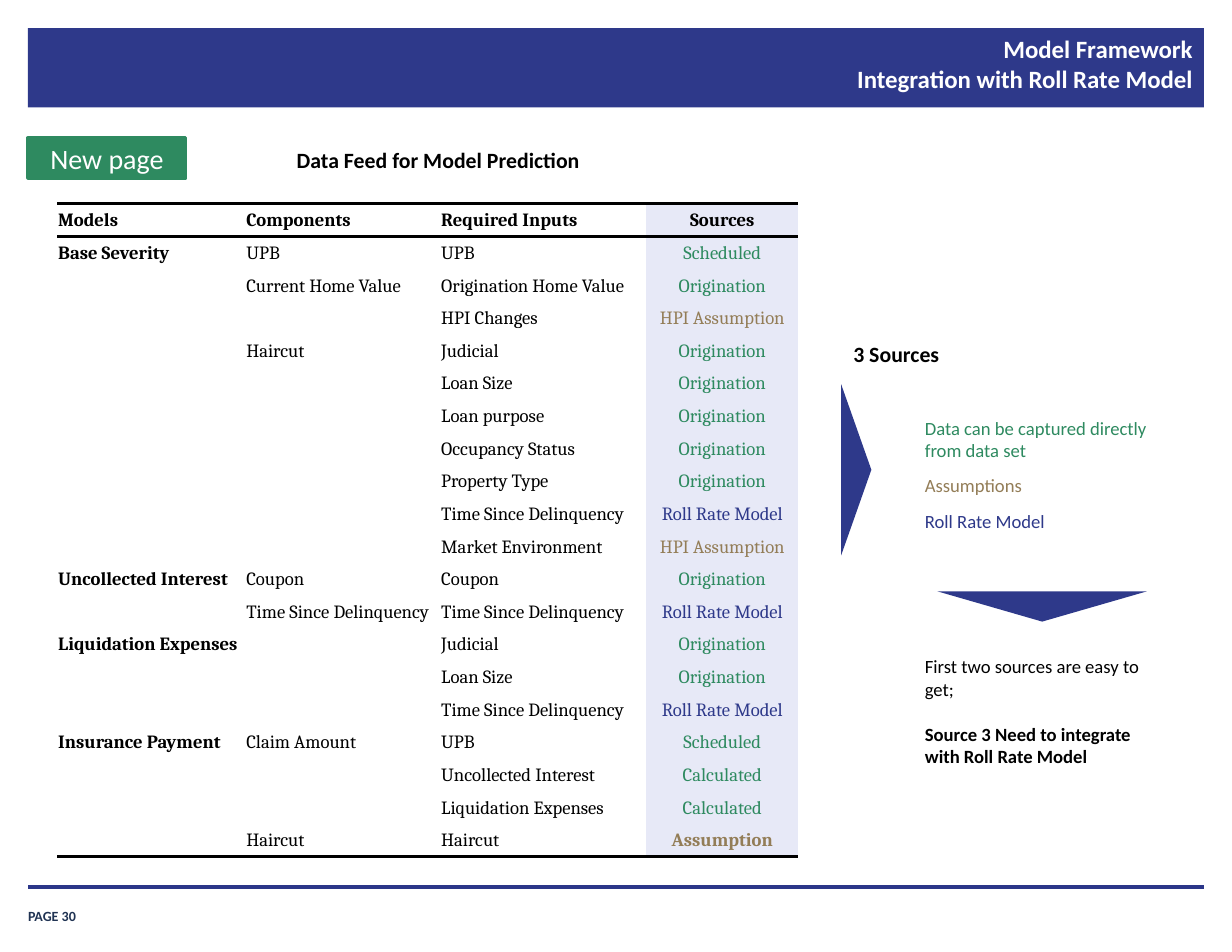
from lxml.etree import SubElement
from pptx import Presentation
from pptx.dml.color import RGBColor
from pptx.enum.shapes import MSO_CONNECTOR, MSO_SHAPE
from pptx.enum.text import MSO_ANCHOR as ANCHOR, PP_ALIGN as ALIGN
from pptx.oxml import parse_xml
from pptx.oxml.ns import nsdecls, qn
from pptx.util import Inches, Pt

COLORS = {
    "navy": "2E398A", "rule": "2B3689", "page": "203353", "green": "2E8A60",
    "tan": "937D57", "black": "000000", "white": "FFFFFF", "pale": "E7E9F7",
}
SOURCE_COLORS = {
    "Sources": "black", "HPI Assumption": "tan", "Assumption": "tan",
    "Roll Rate Model": "navy", "Scheduled": "green", "Origination": "green",
    "Calculated": "green",
}
NO_STYLE = "{2D5ABB26-0587-4C30-8999-92F81FD0307C}"
WIDTHS = (1.68, 1.74, 1.84, 1.36)
ROWS = (
    ("Models", "Components", "Required Inputs", "Sources"),
    ("Base Severity", "UPB", "UPB", "Scheduled"),
    ("", "Current Home Value", "Origination Home Value", "Origination"),
    ("", "", "HPI Changes", "HPI Assumption"),
    ("", "Haircut", "Judicial", "Origination"),
    ("", "", "Loan Size", "Origination"),
    ("", "", "Loan purpose", "Origination"),
    ("", "", "Occupancy Status", "Origination"),
    ("", "", "Property Type", "Origination"),
    ("", "", "Time Since Delinquency", "Roll Rate Model"),
    ("", "", "Market Environment", "HPI Assumption"),
    ("Uncollected Interest", "Coupon", "Coupon", "Origination"),
    ("", "Time Since Delinquency", "Time Since Delinquency", "Roll Rate Model"),
    ("Liquidation Expenses", "", "Judicial", "Origination"),
    ("", "", "Loan Size", "Origination"),
    ("", "", "Time Since Delinquency", "Roll Rate Model"),
    ("Insurance Payment", "Claim Amount", "UPB", "Scheduled"),
    ("", "", "Uncollected Interest", "Calculated"),
    ("", "", "Liquidation Expenses", "Calculated"),
    ("", "Haircut", "Haircut", "Assumption"),
)


def rgb(name):
    return RGBColor.from_string(COLORS[name])


def format_runs(p, size, color, bold=False, font="Calibri"):
    for r in p.runs:
        r.font.name = font
        r.font.size = Pt(size)
        r.font.bold = bold
        r.font.color.rgb = rgb(color)


def add_shape(s, kind, box, color, rotation=0):
    sp = s.shapes.add_shape(kind, *map(Inches, box))
    sp.shadow.inherit = False
    sp.rotation = rotation
    sp.fill.solid()
    sp.fill.fore_color.rgb = rgb(color)
    sp.line.fill.background()
    return sp


def add_text(s, box, text, size, color="black", bold=False):
    tf = s.shapes.add_textbox(*map(Inches, box)).text_frame
    tf.word_wrap = True
    tf.text = text
    for p in tf.paragraphs:
        format_runs(p, size, color, bold)
    return tf


def add_title(s):
    sp = s.shapes.title
    s.shapes._spTree.append(sp._element)
    sp.left, sp.top, sp.width, sp.height = map(Inches, (3.32, 0.24, 7.44, 0.74))
    tf = sp.text_frame
    tf.text = "Model Framework\vIntegration with Roll Rate Model"
    tf.vertical_anchor = ANCHOR.TOP
    tf.margin_left = tf.margin_right = Inches(0.11)
    tf.margin_top = tf.margin_bottom = Inches(0.06)
    tf.paragraphs[0].alignment = ALIGN.RIGHT
    format_runs(tf.paragraphs[0], 16, "white", True)


def add_footer(s):
    line = s.shapes.add_connector(
        MSO_CONNECTOR.STRAIGHT, *map(Inches, (0.25, 7.92, 10.75, 7.92)))
    line.line.color.rgb = rgb("rule")
    line.line.width = Pt(2)
    SubElement(line._element.spPr, qn("a:effectLst"))
    tf = add_text(s, (0.25, 8.02, 0.91, 0.23), "PAGE 30", 9, "page", True)
    tf.margin_left = tf.margin_right = tf.margin_top = tf.margin_bottom = 0
    tf.vertical_anchor = ANCHOR.BOTTOM


def add_borders(cell, sides):
    tc_pr = cell._tc.get_or_add_tcPr()
    for i, side in enumerate(sides):
        tc_pr.insert(i, parse_xml(
            f'<a:ln{side} {nsdecls("a")} w="{Pt(2)}"><a:solidFill>'
            f'<a:srgbClr val="{COLORS["black"]}"/></a:solidFill></a:ln{side}>'))


def fill_cell(cell, text, row, col):
    is_source = col == 3
    cell.fill.solid()
    cell.fill.fore_color.rgb = rgb("pale" if is_source else "white")
    cell.margin_left = cell.margin_right = cell.margin_top = Inches(0.01)
    cell.margin_bottom = 0
    cell.vertical_anchor = ANCHOR.MIDDLE
    cell.text = text
    p = cell.text_frame.paragraphs[0]
    if is_source:
        p.alignment = ALIGN.CENTER
    if not text:
        SubElement(p._p, qn("a:endParaRPr")).set("sz", "1200")
    color = SOURCE_COLORS[text] if is_source else "black"
    bold = row == 0 or col == 0 or text == "Assumption"
    format_runs(p, 12, color, bold, "Cambria")


def add_sources_table(s):
    table = s.shapes.add_table(
        len(ROWS), len(WIDTHS), *map(Inches, (0.51, 1.82, 6.62, 5.83))).table
    table.first_row = table.horz_banding = False
    table._tbl.tblPr.find(qn("a:tableStyleId")).text = NO_STYLE
    for column, width in zip(table.columns, WIDTHS):
        column.width = Inches(width)
    borders = {0: "TB", len(ROWS) - 1: "B"}
    for i, row in enumerate(ROWS):
        for j, text in enumerate(row):
            cell = table.cell(i, j)
            fill_cell(cell, text, i, j)
            add_borders(cell, borders.get(i, ""))


def add_badge(s):
    sp = add_shape(s, MSO_SHAPE.RECTANGLE, (0.25, 1.23, 1.41, 0.36), "green")
    sp.line.color.rgb = rgb("green")
    sp.line.width = Pt(2)
    tf = sp.text_frame
    tf.text = "New page"
    tf.vertical_anchor = ANCHOR.MIDDLE
    tf.paragraphs[0].alignment = ALIGN.CENTER
    format_runs(tf.paragraphs[0], 18, "white")


def add_conclusion(s):
    tf = add_text(s, (8.16, 5.8, 2.3, 1.11),
                  "First two sources are easy to get;\n"
                  "Source 3 Need to integrate with Roll Rate Model", 12)
    p = tf.paragraphs[1]
    p.space_before = Pt(14.5)
    format_runs(p, 12, "black", True)


def main():
    prs = Presentation()
    prs.slide_width, prs.slide_height = Inches(11), Inches(8.5)
    s = prs.slides.add_slide(prs.slide_layouts[5])
    add_shape(s, MSO_SHAPE.RECTANGLE, (0.25, 0.25, 10.5, 0.71), "navy")
    add_footer(s)
    add_title(s)
    add_sources_table(s)
    add_text(s, (8.16, 3.67, 2.3, 0.5),
             "Data can be captured directly from data set", 12, "green")
    add_text(s, (8.16, 4.18, 2.3, 0.3), "Assumptions", 12, "tan")
    add_text(s, (8.16, 4.5, 2.3, 0.3), "Roll Rate Model", 12, "navy")
    add_text(s, (2.55, 1.26, 3.25, 0.44), "Data Feed for Model Prediction", 14, bold=True)
    add_text(s, (7.52, 2.99, 3.25, 0.44), "3 Sources", 14, bold=True)
    triangle = MSO_SHAPE.ISOSCELES_TRIANGLE
    add_shape(s, triangle, (6.88, 4.06, 1.53, 0.27), "navy", 90)
    add_shape(s, triangle, (8.37, 5.28, 1.87, 0.27), "navy", 180)
    add_conclusion(s)
    add_badge(s)
    prs.save("out.pptx")


if __name__ == "__main__":
    main()
